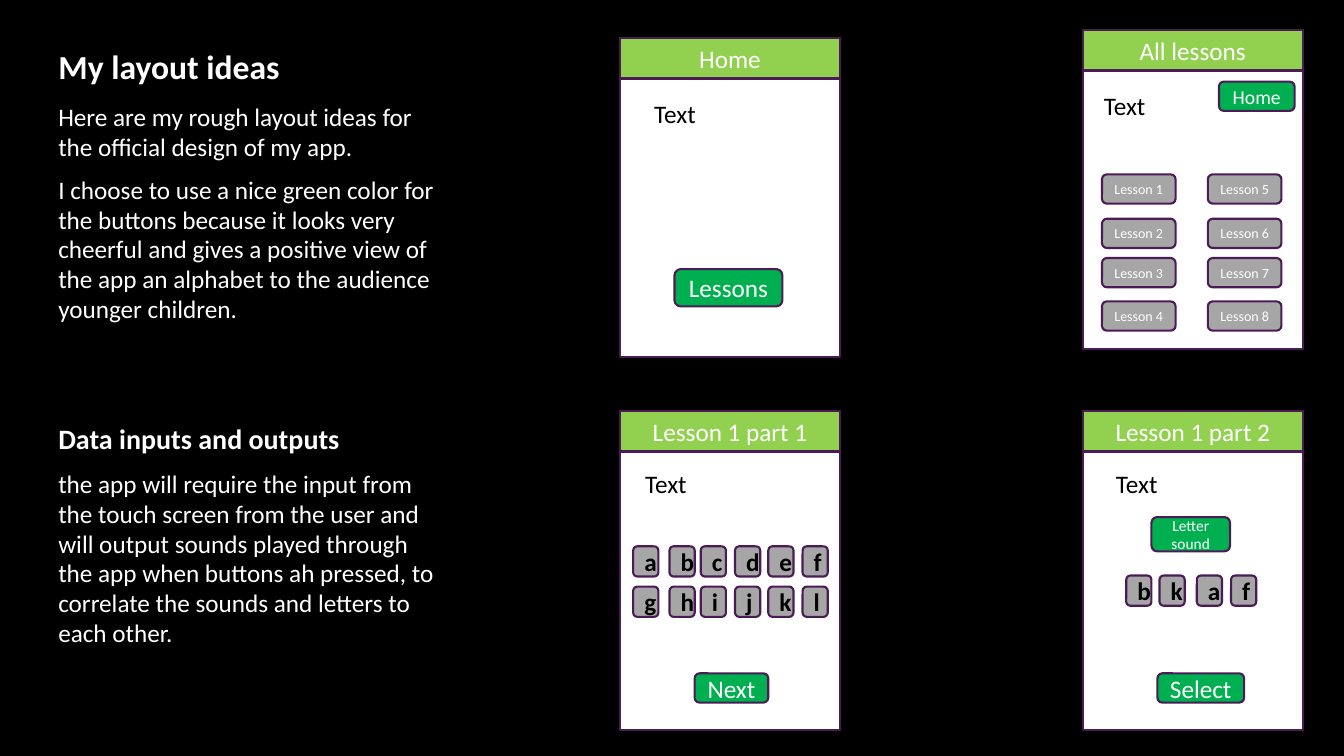
from dataclasses import dataclass
from itertools import product

from pptx import Presentation
from pptx.dml.color import RGBColor
from pptx.enum.shapes import MSO_SHAPE
from pptx.enum.text import MSO_ANCHOR, MSO_AUTO_SIZE, PP_ALIGN
from pptx.util import Inches, Pt

RECT = MSO_SHAPE.RECTANGLE
ROUNDED = MSO_SHAPE.ROUNDED_RECTANGLE
TOP = MSO_ANCHOR.TOP
MIDDLE = MSO_ANCHOR.MIDDLE
NO_AUTOFIT = MSO_AUTO_SIZE.NONE
LEFT = PP_ALIGN.LEFT
CENTER = PP_ALIGN.CENTER


@dataclass(frozen=True)
class Theme:
    font: str = "Calibri"
    black: str = "000000"
    white: str = "FFFFFF"
    outline: str = "4B1B55"
    header: str = "92D050"
    button: str = "00B050"
    key: str = "A6A6A6"
    title: int = 24
    heading: int = 20
    body: int = 18
    small_button: int = 14
    sound: int = 11
    lesson: int = 10
    line: float = 1.5


THEME = Theme()
SCREEN_W, SCREEN_H, HEADER_H = 2.18, 3.16, 0.4

INTRO = [
    "Here are my rough layout ideas for the official design of my app.",
    "I choose to use a nice green color for the buttons because it looks very "
    "cheerful and gives a positive view of the app an alphabet to the audience "
    "younger children.",
]
DATA_HEADING = "Data inputs and outputs"
DATA_TEXT = (
    "the app will require the input from the touch screen from the user and will "
    "output sounds played through the app when buttons ah pressed, to correlate "
    "the sounds and letters to each other."
)


def format_paragraph(p, size, color, bold=False, align=LEFT):
    p.alignment = align
    for r in p.runs:
        r.font.name = THEME.font
        r.font.size = Pt(size)
        r.font.bold = bold
        r.font.color.rgb = RGBColor.from_string(color)


def add_box(s, kind, x, y, w, h, fill, text="", size=THEME.body,
            color=THEME.white, bold=False):
    sp = s.shapes.add_shape(kind, Inches(x), Inches(y), Inches(w), Inches(h))
    sp.shadow.inherit = False
    sp.fill.solid()
    sp.fill.fore_color.rgb = RGBColor.from_string(fill)
    sp.line.color.rgb = RGBColor.from_string(THEME.outline)
    sp.line.width = Pt(THEME.line)
    if text:
        tf = sp.text_frame
        tf.vertical_anchor = MIDDLE
        tf.text = text
        format_paragraph(tf.paragraphs[0], size, color, bold, CENTER)


def add_text(s, x, y, w, h, paragraphs, color):
    tb = s.shapes.add_textbox(Inches(x), Inches(y), Inches(w), Inches(h))
    tf = tb.text_frame
    tf.word_wrap = True
    for i, (text, size, bold) in enumerate(paragraphs):
        p = tf.add_paragraph() if i else tf.paragraphs[0]
        p.text = text
        format_paragraph(p, size, color, bold)
    return tf


def add_button(s, x, y, w, h, text, size=THEME.body):
    add_box(s, ROUNDED, x, y, w, h, THEME.button, text, size)


def add_keys(s, x, y, columns, rows, letters):
    for (dy, dx), letter in zip(product(rows, columns), letters):
        add_box(s, ROUNDED, x + dx, y + dy, 0.25, 0.3, THEME.key, letter,
                color=THEME.black, bold=True)


def add_screen(s, x, y, name, text_dx, text_dy, text_w=1.67):
    add_box(s, RECT, x, y, SCREEN_W, SCREEN_H, THEME.white)
    add_box(s, RECT, x, y, SCREEN_W, HEADER_H, THEME.header, name)
    add_text(s, x + text_dx, y + text_dy, text_w, 0.4,
             [("Text", THEME.body, False)], THEME.black)


def add_home(s, x, y):
    add_screen(s, x, y, "Home", 0.24, 0.55)
    add_button(s, x + 0.54, y + 2.29, 1.07, 0.37, "Lessons")


def add_all_lessons(s, x, y):
    add_screen(s, x, y, "All lessons", 0.11, 0.55, 1.13)
    add_button(s, x + 1.35, y + 0.51, 0.75, 0.29, "Home", THEME.small_button)
    cells = product((0.19, 1.24), (1.43, 1.87, 2.26, 2.69))
    for number, (dx, dy) in enumerate(cells, 1):
        add_box(s, ROUNDED, x + dx, y + dy, 0.73, 0.29, THEME.key,
                f"Lesson {number}", THEME.lesson)


def add_part_one(s, x, y):
    add_screen(s, x, y, "Lesson 1 part 1", 0.15, 0.52)
    add_keys(s, x, y, (0.13, 0.49, 0.8, 1.14, 1.47, 1.81), (1.34, 1.74),
             "abcdefghijkl")
    add_button(s, x + 0.74, y + 2.6, 0.73, 0.29, "Next")


def add_part_two(s, x, y):
    add_screen(s, x, y, "Lesson 1 part 2", 0.23, 0.52)
    add_button(s, x + 0.68, y + 1.05, 0.78, 0.34, "Letter sound", THEME.sound)
    add_keys(s, x, y, (0.43, 0.76, 1.13, 1.47), (1.63,), "bkaf")
    add_button(s, x + 0.74, y + 2.6, 0.86, 0.29, "Select")


def add_notes_column(s, x, y, w):
    title = s.shapes.title
    title.left, title.top = Inches(x), Inches(y)
    title.width, title.height = Inches(w), Inches(0.52)
    tf = title.text_frame
    tf.text = "My layout ideas"
    tf.auto_size = NO_AUTOFIT
    tf.vertical_anchor = TOP
    format_paragraph(tf.paragraphs[0], THEME.title, THEME.white, True)

    intro = [(text, THEME.body, False) for text in INTRO]
    data = [(DATA_HEADING, THEME.heading, True), (DATA_TEXT, THEME.body, False)]
    for dy, h, paragraphs in ((0.56, 2.5, intro), (3.74, 2.6, data)):
        tf = add_text(s, x, y + dy, w, h, paragraphs, THEME.white)
        for p in tf.paragraphs:
            p.line_spacing = 0.98
            p.space_after = Pt(10)


def main():
    prs = Presentation()
    prs.slide_width, prs.slide_height = Inches(13.33), Inches(7.5)
    s = prs.slides.add_slide(prs.slide_layouts[5])
    s.background.fill.solid()
    s.background.fill.fore_color.rgb = RGBColor.from_string(THEME.black)
    add_notes_column(s, 0.48, 0.41, 4.06)
    add_home(s, 6.15, 0.38)
    add_all_lessons(s, 10.74, 0.3)
    add_part_one(s, 6.15, 4.08)
    add_part_two(s, 10.74, 4.08)
    prs.save("out.pptx")


if __name__ == "__main__":
    main()
